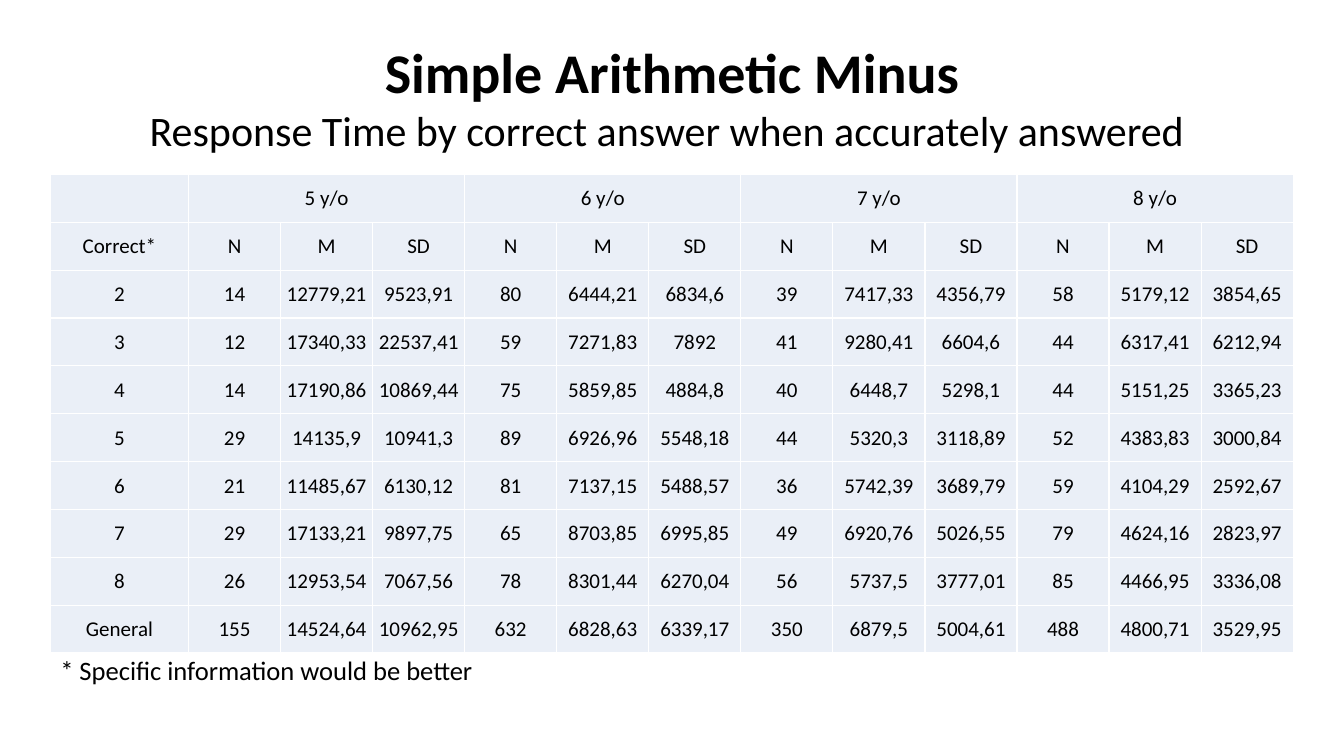
from lxml import etree
from pptx import Presentation
from pptx.dml.color import RGBColor
from pptx.enum.text import MSO_ANCHOR, PP_ALIGN
from pptx.oxml.ns import qn
from pptx.util import Inches, Pt

CENTER = PP_ALIGN.CENTER
LEFT = PP_ALIGN.LEFT
MIDDLE = MSO_ANCHOR.MIDDLE

COLORS = {"text": "000000", "cell": "EAEFF7", "border": "FFFFFF"}
FONT = "Calibri"

AGES = ["5 y/o", "6 y/o", "7 y/o", "8 y/o"]
MEASURES = ["N", "M", "SD"]
RESULTS = [
    "2 14 12779,21 9523,91 80 6444,21 6834,6 39 7417,33 4356,79 58 5179,12 3854,65",
    "3 12 17340,33 22537,41 59 7271,83 7892 41 9280,41 6604,6 44 6317,41 6212,94",
    "4 14 17190,86 10869,44 75 5859,85 4884,8 40 6448,7 5298,1 44 5151,25 3365,23",
    "5 29 14135,9 10941,3 89 6926,96 5548,18 44 5320,3 3118,89 52 4383,83 3000,84",
    "6 21 11485,67 6130,12 81 7137,15 5488,57 36 5742,39 3689,79 59 4104,29 2592,67",
    "7 29 17133,21 9897,75 65 8703,85 6995,85 49 6920,76 5026,55 79 4624,16 2823,97",
    "8 26 12953,54 7067,56 78 8301,44 6270,04 56 5737,5 3777,01 85 4466,95 3336,08",
    "General 155 14524,64 10962,95 632 6828,63 6339,17 350 6879,5 5004,61 488 4800,71 3529,95",
]


def write(p, text, size, align, bold=False):
    p.text = text
    p.alignment = align
    p.font.name = FONT
    p.font.size = Pt(size)
    p.font.bold = bold
    p.font.color.rgb = RGBColor.from_string(COLORS["text"])


def add_borders(cell):
    tc_pr = cell._tc.get_or_add_tcPr()
    for side in ("lnL", "lnR", "lnT", "lnB"):
        ln = etree.SubElement(tc_pr, qn(f"a:{side}"), w=str(Pt(1)))
        fill = etree.SubElement(ln, qn("a:solidFill"))
        etree.SubElement(fill, qn("a:srgbClr"), val=COLORS["border"])


prs = Presentation()
prs.slide_width = Inches(13.33)
prs.slide_height = Inches(7.5)
s = prs.slides.add_slide(prs.slide_layouts[6])

# Title and subtitle
title = s.shapes.add_textbox(Inches(1.33), Inches(0.32), Inches(10.67), Inches(1.28))
tf = title.text_frame
tf.word_wrap = True
write(tf.paragraphs[0], "Simple Arithmetic Minus", 40, CENTER, bold=True)
write(tf.add_paragraph(), "Response Time by correct answer when accurately answered ", 30, CENTER)

# Response time table
age_row = [""]
for age in AGES:
    age_row += [age, "", ""]
rows = [age_row, ["Correct*"] + MEASURES * len(AGES)] + [line.split() for line in RESULTS]

width, height, label_width = Inches(12.33), Inches(4.75), Inches(1.37)
table = s.shapes.add_table(
    len(rows), len(age_row), Inches(0.5), Inches(1.73), width, height
).table
table.first_row = False
table.horz_banding = False
for i, column in enumerate(table.columns):
    column.width = label_width if i == 0 else (width - label_width) // (len(age_row) - 1)
for row, values in zip(table.rows, rows):
    row.height = height // len(rows)
    for cell, value in zip(row.cells, values):
        add_borders(cell)
        cell.fill.solid()
        cell.fill.fore_color.rgb = RGBColor.from_string(COLORS["cell"])
        cell.vertical_anchor = MIDDLE
        cell.margin_left = cell.margin_right = cell.margin_top = Inches(0.01)
        cell.margin_bottom = 0
        write(cell.text_frame.paragraphs[0], value, 15, CENTER)
for first in range(1, len(age_row), len(MEASURES)):
    table.cell(0, first).merge(table.cell(0, first + len(MEASURES) - 1))

# Footnote
note = s.shapes.add_textbox(Inches(0.5), Inches(6.47), Inches(6.13), Inches(1.17))
tf = note.text_frame
tf.word_wrap = True
p = tf.paragraphs[0]
write(p, "* Specific information would be better", 19, LEFT)
p.line_spacing = 0.9

prs.save("out.pptx")
